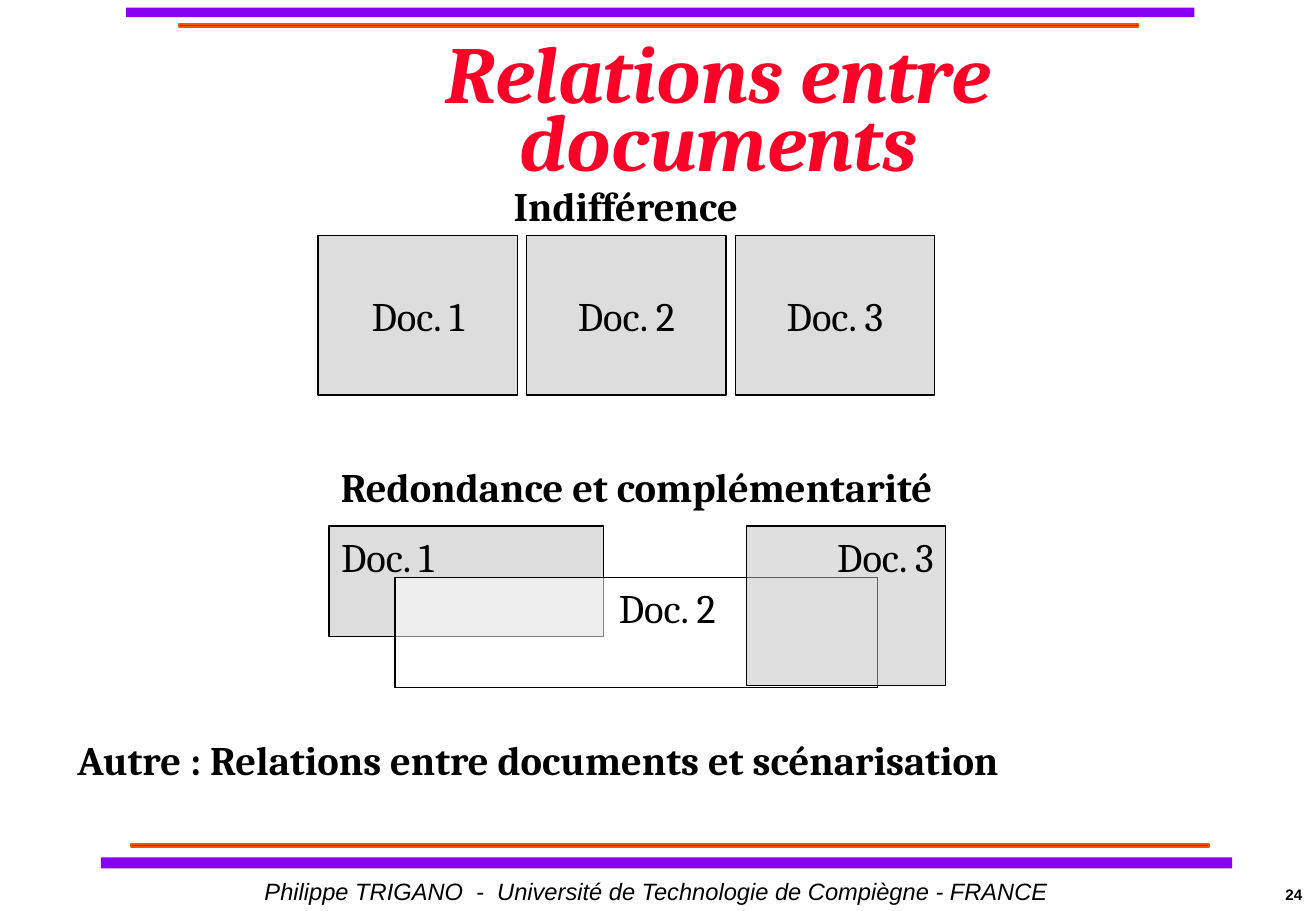
from lxml import etree
from pptx import Presentation
from pptx.dml.color import RGBColor
from pptx.enum.shapes import MSO_SHAPE
from pptx.enum.text import MSO_ANCHOR, PP_ALIGN
from pptx.oxml.ns import qn
from pptx.util import Cm, Pt

RECT = MSO_SHAPE.RECTANGLE
TOP, MIDDLE = MSO_ANCHOR.TOP, MSO_ANCHOR.MIDDLE
LEFT, CENTER, RIGHT = PP_ALIGN.LEFT, PP_ALIGN.CENTER, PP_ALIGN.RIGHT

COLORS = {
    "violet": "8901F3",
    "red": "FC0128",
    "orange": "FF5008",
    "pale": "DDDDDD",
    "grey": "C0C0C0",
    "white": "FFFFFF",
    "black": "000000",
}

# Font formats
BODY = {"name": "Cambria", "size": Pt(24)}
HEAD = {**BODY, "bold": True}
TITLE = {**HEAD, "size": Pt(48), "italic": True}
FOOT = {"name": "Arial", "size": Pt(14), "italic": True}
PAGE = {"name": "Arial", "size": Pt(9), "bold": True}


def color(name):
    return RGBColor.from_string(COLORS[name])


def write(shape, text, style, align=LEFT, anchor=TOP, ink="black", wrap=True):
    frame = shape.text_frame
    frame.word_wrap = wrap
    frame.vertical_anchor = anchor
    para = frame.paragraphs[0]
    para.alignment = align
    run = para.add_run()
    run.text = text
    for key, value in style.items():
        setattr(run.font, key, value)
    run.font.color.rgb = color(ink)
    return frame


def add_label(slide, box, text, style, **layout):
    shape = slide.shapes.add_textbox(*map(Cm, box))
    return write(shape, text, style, **layout)


def add_rect(slide, box, fill, line=None, width=0.75, alpha=None):
    shape = slide.shapes.add_shape(RECT, *map(Cm, box))
    shape.shadow.inherit = False
    shape.fill.solid()
    shape.fill.fore_color.rgb = color(fill)
    if alpha is not None:
        tint = shape.fill._xPr.find(qn("a:solidFill"))[0]
        etree.SubElement(tint, qn("a:alpha")).set("val", str(alpha * 1000))
    if line:
        shape.line.color.rgb = color(line)
        shape.line.width = Pt(width)
    else:
        shape.line.fill.background()
    return shape


def add_doc(slide, box, num, fill="pale", alpha=None, **layout):
    shape = add_rect(slide, box, fill, "black", alpha=alpha)
    return write(shape, f"Doc. {num}", BODY, **layout)


def add_frame(slide):
    # Thick violet bars and thin red bars
    for box in ((2.64, 0.16, 22.33, 0.2), (2.11, 17.93, 23.65, 0.23)):
        add_rect(slide, box, "violet")
    for box in ((3.74, 0.5, 20.06, 0.07), (2.74, 17.65, 22.53, 0.07)):
        add_rect(slide, box, "red", "orange", 1)

    # Footer and page number
    add_label(slide, (5.28, 18.21, 19.69, 0.84),
              "Philippe TRIGANO  -  Université de Technologie de Compiègne - FRANCE",
              FOOT)
    add_label(slide, (26.62, 18.39, 0.89, 0.64), "24", PAGE, wrap=False)


def main():
    deck = Presentation()
    deck.slide_width, deck.slide_height = Cm(27.51), Cm(19.05)
    slide = deck.slides.add_slide(deck.slide_layouts[6])
    add_frame(slide)

    # Title
    frame = add_label(slide, (5.28, 1.07, 19.48, 2.74),
                      "Relations entre documents", TITLE,
                      align=CENTER, anchor=MIDDLE, ink="red")
    frame.paragraphs[0].line_spacing = 0.7

    # Headings
    add_label(slide, (6.88, 3.66, 12.4, 1.27), "Indifférence", HEAD,
              align=CENTER)
    add_label(slide, (6.65, 9.53, 13.31, 1.27),
              "Redondance et complémentarité", HEAD, align=CENTER)
    add_label(slide, (1.37, 15.24, 24.99, 1.27),
              "Autre : Relations entre documents et scénarisation", HEAD)

    # Separate documents
    for i in range(3):
        add_doc(slide, (6.65 + 4.36 * i, 4.93, 4.17, 3.33), i + 1,
                align=CENTER, anchor=MIDDLE)

    # Overlapping documents
    add_doc(slide, (6.88, 11, 5.74, 2.31), 1)
    middle = add_doc(slide, (8.26, 12.07, 10.08, 2.31), 2, "white", 50,
                     align=CENTER)
    middle.margin_left = Cm(1.55)
    add_doc(slide, (15.6, 11, 4.17, 3.33), 3, "grey", 50, align=RIGHT)

    deck.save("out.pptx")


if __name__ == "__main__":
    main()
